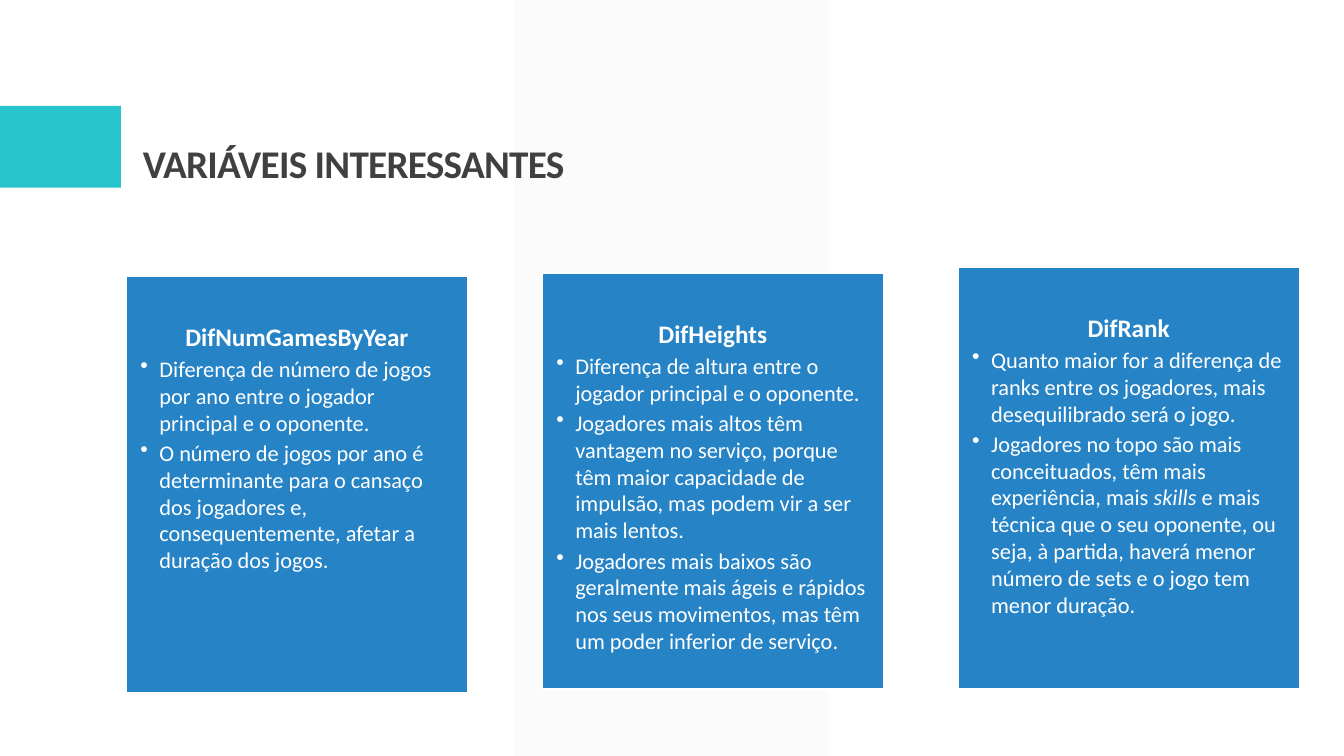
from lxml import etree
from pptx import Presentation
from pptx.dml.color import RGBColor
from pptx.enum import shapes, text
from pptx.oxml.ns import qn
from pptx.util import Cm, Pt

WHITE = RGBColor(0xFF, 0xFF, 0xFF)
PALE_GREY = RGBColor(0xF2, 0xF2, 0xF2)
TEAL = RGBColor(0x28, 0xC4, 0xCC)
BLUE = RGBColor(0x26, 0x83, 0xC6)
DARK_GREY = RGBColor(0x40, 0x40, 0x40)
FONT = "Calibri"

CARD_LEFT, CARD_STEP, CARD_WIDTH = 3.18, 10.48, 8.61
# Each card: top, height, heading, bullets; a bullet is a list of (words, italic).
CARDS = [
    (6.96, 10.49, "DifNumGamesByYear", [
        [("Diferença de número de jogos por ano entre o jogador principal e o oponente.", False)],
        [("O número de jogos por ano é determinante para o cansaço dos jogadores e, "
          "consequentemente, afetar a duração dos jogos.", False)],
    ]),
    (6.88, 10.49, "DifHeights", [
        [("Diferença de altura entre o jogador principal e o oponente.", False)],
        [("Jogadores mais altos têm vantagem no serviço, porque têm maior capacidade de "
          "impulsão, mas podem vir a ser mais lentos.", False)],
        [("Jogadores mais baixos são geralmente mais ágeis e rápidos nos seus movimentos, "
          "mas têm um poder inferior de serviço.", False)],
    ]),
    (6.73, 10.64, "DifRank", [
        [("Quanto maior for a diferença de ranks entre os jogadores, mais desequilibrado "
          "será o jogo.", False)],
        [("Jogadores no topo são mais conceituados, têm mais experiência, mais ", False),
         ("skills", True),
         (" e mais técnica que o seu oponente, ou seja, à partida, haverá menor número de "
          "sets e o jogo tem menor duração.", False)],
    ]),
]


def set_all(target, values):
    for name, value in values.items():
        setattr(target, name, value)


def add_filled(page, kind, box, color):
    shape = page.shapes.add_shape(kind, *(Cm(length) for length in box))
    shape.shadow.inherit = False
    shape.fill.solid()
    shape.fill.fore_color.rgb = color
    shape.line.fill.background()
    return shape


def add_span(para, words, color, **font):
    span = para.add_run()
    span.text = words
    set_all(span.font, {"name": FONT, **font})
    span.font.color.rgb = color
    return span


def add_backdrop(page):
    band = add_filled(page, shapes.MSO_SHAPE.PARALLELOGRAM, (12.95, 0, 7.92, 19.05), PALE_GREY)
    band.adjustments[0] = 0
    color = band.fill._xPr.find(qn("a:solidFill"))[0]
    etree.SubElement(color, qn("a:alpha"), val="30000")
    add_filled(page, shapes.MSO_SHAPE.RECTANGLE, (0, 2.67, 3.05, 2.06), TEAL)


def add_title(page, box, words):
    frame = page.shapes.add_textbox(*(Cm(length) for length in box)).text_frame
    set_all(frame, {"word_wrap": True, "vertical_anchor": text.MSO_ANCHOR.BOTTOM})
    para = frame.paragraphs[0]
    para.line_spacing = 0.9
    span = add_span(para, words, DARK_GREY, size=Pt(28), bold=True)
    span.font._element.set("spc", "-50")


def format_card_paragraph(para, bullet):
    """Give the paragraph its hanging indent and, if wanted, a bullet."""
    properties = para._p.get_or_add_pPr()
    properties.set("marL", str(Cm(0.48)))
    properties.set("indent", str(-Cm(0.48)))
    if bullet:
        etree.SubElement(properties, qn("a:buChar"), char="•")
    align = text.PP_ALIGN.LEFT if bullet else text.PP_ALIGN.CENTER
    set_all(para, {"level": 1, "alignment": align, "space_after": Pt(2.4)})


def add_card(page, box, heading, bullets):
    card = add_filled(page, shapes.MSO_SHAPE.RECTANGLE, box, BLUE)
    card.line.color.rgb = WHITE
    card.line.width = Pt(1.25)
    frame = card.text_frame
    set_all(frame, {"word_wrap": True, "vertical_anchor": text.MSO_ANCHOR.TOP,
                    "margin_left": Cm(0.36), "margin_top": Cm(1.14),
                    "margin_right": Cm(0.36), "margin_bottom": Cm(0.36)})
    para = frame.paragraphs[0]
    format_card_paragraph(para, bullet=False)
    add_span(para, heading, WHITE, size=Pt(18), bold=True)
    for parts in bullets:
        para = frame.add_paragraph()
        format_card_paragraph(para, bullet=True)
        for words, italic in parts:
            add_span(para, words, WHITE, size=Pt(16), bold=False, italic=italic)


def main():
    deck = Presentation()
    set_all(deck, {"slide_width": Cm(33.87), "slide_height": Cm(19.05)})
    page = deck.slides.add_slide(deck.slide_layouts[6])
    add_backdrop(page)
    add_title(page, (3.35, 0.79, 27.94, 4.04), "VARIÁVEIS INTERESSANTES")
    for index, (top, height, heading, bullets) in enumerate(CARDS):
        left = CARD_LEFT + index * CARD_STEP
        add_card(page, (left, top, CARD_WIDTH, height), heading, bullets)
    deck.save("out.pptx")


if __name__ == "__main__":
    main()
